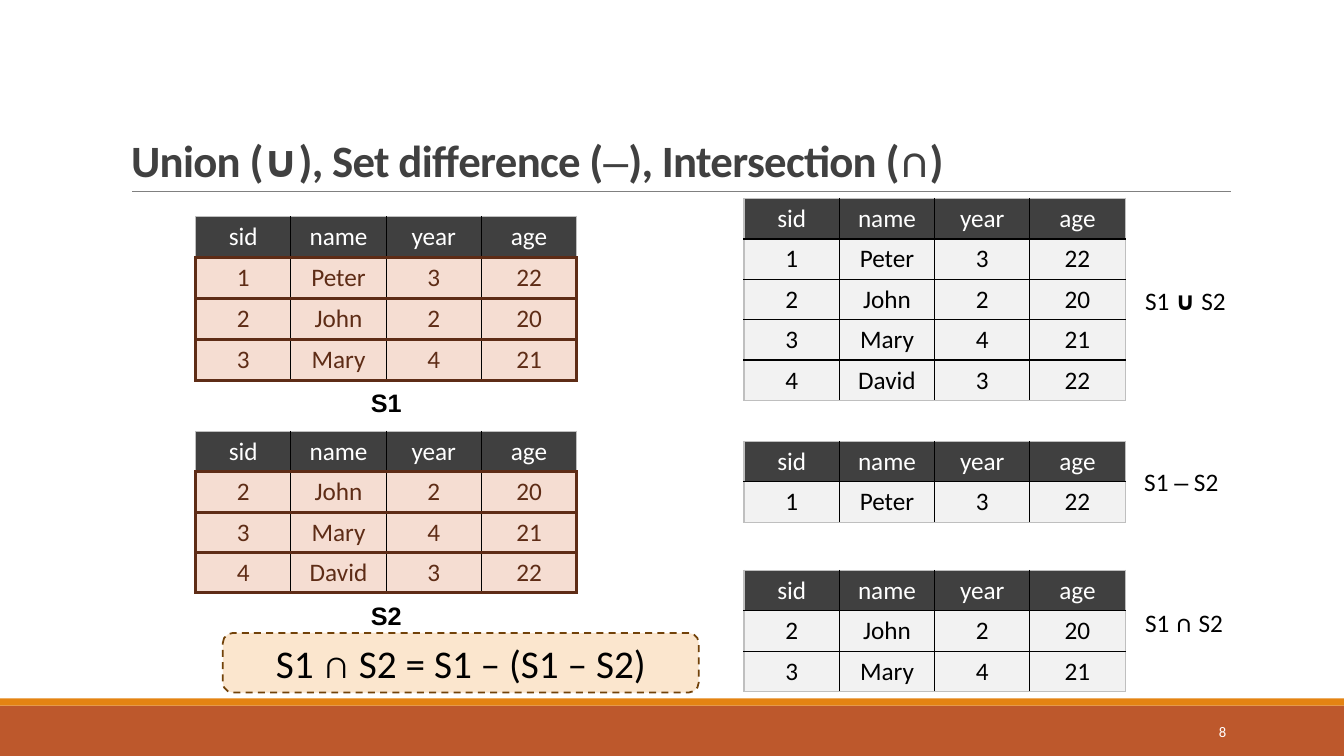
"""Build a slide on the union, difference and intersection of two relations."""
from dataclasses import dataclass
from lxml.etree import SubElement
from pptx import Presentation
from pptx.dml.color import RGBColor
from pptx.enum.dml import MSO_LINE_DASH_STYLE as Dash
from pptx.enum.shapes import MSO_CONNECTOR as Connector, MSO_SHAPE as Shape
from pptx.enum.text import MSO_ANCHOR as Anchor, MSO_AUTO_SIZE as AutoSize, PP_ALIGN as Align
from pptx.oxml.ns import qn
from pptx.util import Inches, Pt


@dataclass(frozen=True)
class Theme:
    rust: str = "BD582C"
    orange: str = "E48312"
    rule: str = "808080"
    dark: str = "404040"
    white: str = "FFFFFF"
    black: str = "000000"
    brown: str = "5E2C16"
    peach: str = "F5DDD2"
    pale: str = "F2F2F2"
    edge: str = "BFBFBF"
    cream: str = "FBE6CE"
    dash: str = "724209"
    body_font: str = "Calibri"
    label_font: str = "Arial"
    title_size: float = 32
    formula_size: float = 28
    text_size: float = 18
    number_size: float = 10.5


theme = Theme()


def write_runs(frame, runs, size, color, align=Align.LEFT, **frame_format):
    for name, value in frame_format.items():
        setattr(frame, name, value)
    paragraph = frame.paragraphs[0]
    paragraph.alignment = align
    for text, font_name, bold in runs:
        run = paragraph.add_run()
        run.text = text
        for name, value in {"name": font_name, "size": Pt(size), "bold": bold}.items():
            setattr(run.font, name, value)
        run.font.color.rgb = RGBColor.from_string(color)
    return paragraph


def add_relation(slide, left, top, students, fill, ink, line_color, line_width):
    rows = [("sid", "name", "year", "age"), *students]
    last_row, last_column = len(rows) - 1, len(rows[0]) - 1
    table = slide.shapes.add_table(
        len(rows), len(rows[0]), Inches(left), Inches(top),
        Inches(3.78), Inches(0.4 * len(rows))).table
    outer = (theme.edge, 1)
    inner = (theme.black, 1)
    row_line = (line_color, line_width)
    framed = line_color != theme.black
    for r, row in enumerate(rows):
        table.rows[r].height = Inches(0.4)
        side = row_line if framed and r else outer
        for c, value in enumerate(row):
            cell = table.cell(r, c)
            borders = {
                "a:lnL": inner if c else side,
                "a:lnR": inner if c < last_column else side,
                "a:lnT": row_line if r else outer,
                "a:lnB": row_line if r < last_row or framed else outer,
            }
            properties = cell._tc.get_or_add_tcPr()
            for tag, (color, width) in borders.items():
                line = SubElement(properties, qn(tag), w=str(Pt(width)))
                solid = SubElement(line, qn("a:solidFill"))
                SubElement(solid, qn("a:srgbClr"), val=color)
            cell.fill.solid()
            cell.fill.fore_color.rgb = RGBColor.from_string(fill if r else theme.dark)
            write_runs(cell.text_frame, [(str(value), theme.body_font, False)],
                       theme.text_size, ink if r else theme.white, Align.CENTER)


presentation = Presentation()
presentation.slide_width = Inches(13.33)
presentation.slide_height = Inches(7.5)
slide = presentation.slides.add_slide(presentation.slide_layouts[5])

for top, height, color in [(7, 0.5, theme.rust), (6.93, 0.07, theme.orange)]:
    bar = slide.shapes.add_shape(
        Shape.RECTANGLE, 0, Inches(top), presentation.slide_width, Inches(height))
    bar.shadow.inherit = False
    bar.fill.solid()
    bar.fill.fore_color.rgb = RGBColor.from_string(color)
    bar.line.fill.background()

title_rule = slide.shapes.add_connector(
    Connector.STRAIGHT, Inches(1.31), Inches(1.9), Inches(12.21), Inches(1.9))
title_rule.line.color.rgb = RGBColor.from_string(theme.rule)
title_rule.line.width = Pt(0.5)
SubElement(title_rule._element.spPr, qn("a:effectLst"))

title = slide.shapes.title
title_box = {"left": 1.2, "top": 0.31, "width": 11, "height": 1.59}
for name, value in title_box.items():
    setattr(title, name, Inches(value))
title_paragraph = write_runs(
    title.text_frame,
    [("Union (∪), Set difference (", theme.body_font, True),
     ("–", theme.label_font, False),
     ("), Intersection (∩)", theme.body_font, True)],
    theme.title_size, theme.dark,
    vertical_anchor=Anchor.BOTTOM, word_wrap=True, auto_size=AutoSize.NONE)
title_paragraph.line_spacing = 0.85
for run in title_paragraph.runs:
    run.font._element.set("spc", "-50")

peter, john = (1, "Peter", 3, 22), (2, "John", 2, 20)
mary, david = (3, "Mary", 4, 21), (4, "David", 3, 22)

sources = [
    ("S1", 2.15, 3.79, [peter, john, mary]),
    ("S2", 4.28, 5.91, [john, mary, david]),
]
for name, top, label_top, students in sources:
    add_relation(slide, 1.94, top, students, theme.peach, theme.brown, theme.brown, 2.25)
    label = slide.shapes.add_textbox(Inches(3.24), Inches(label_top), Inches(1.18), Inches(0.4))
    write_runs(label.text_frame, [(name, theme.label_font, True)], theme.text_size,
               theme.black, Align.CENTER, word_wrap=True, auto_size=AutoSize.SHAPE_TO_FIT_TEXT)

results = [
    (("∪", theme.body_font, True), 1.97, (11.26, 2.78, 1), [peter, john, mary, david]),
    (("–", theme.label_font, False), 4.38, (11.25, 4.58, 0.95), [peter]),
    (("∩", theme.body_font, True), 5.66, (11.26, 5.98, 1), [john, mary]),
]
for operator, top, (label_left, label_top, label_width), students in results:
    add_relation(slide, 7.38, top, students, theme.pale, theme.black, theme.black, 1)
    label = slide.shapes.add_textbox(
        Inches(label_left), Inches(label_top), Inches(label_width), Inches(0.4))
    write_runs(label.text_frame,
               [("S1 ", theme.body_font, False), operator, (" S2", theme.body_font, False)],
               theme.text_size, theme.black,
               word_wrap=False, auto_size=AutoSize.SHAPE_TO_FIT_TEXT)

formula = slide.shapes.add_shape(
    Shape.ROUNDED_RECTANGLE, Inches(2.21), Inches(6.28), Inches(4.72), Inches(0.59))
formula.shadow.inherit = False
formula.fill.solid()
formula.fill.fore_color.rgb = RGBColor.from_string(theme.cream)
formula.line.color.rgb = RGBColor.from_string(theme.dash)
formula.line.width = Pt(1.25)
formula.line.dash_style = Dash.DASH
write_runs(formula.text_frame, [("S1 ∩ S2 = S1 – (S1 – S2)", theme.body_font, False)],
           theme.formula_size, theme.black, Align.CENTER,
           vertical_anchor=Anchor.MIDDLE, word_wrap=True)

page_number = slide.shapes.add_textbox(Inches(10.83), Inches(7.06), Inches(1.43), Inches(0.4))
write_runs(page_number.text_frame, [("8", theme.body_font, False)], theme.number_size,
           theme.white, Align.RIGHT, vertical_anchor=Anchor.MIDDLE, word_wrap=True)

presentation.save("out.pptx")
